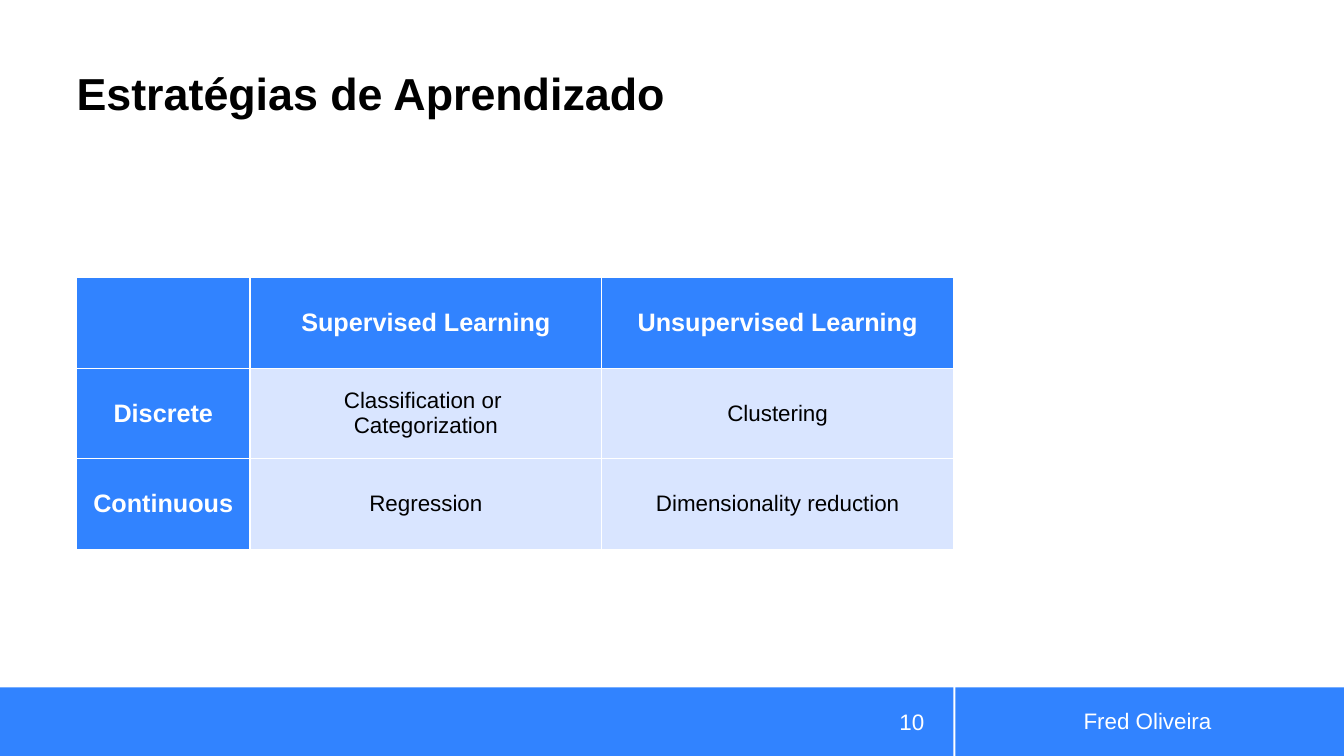
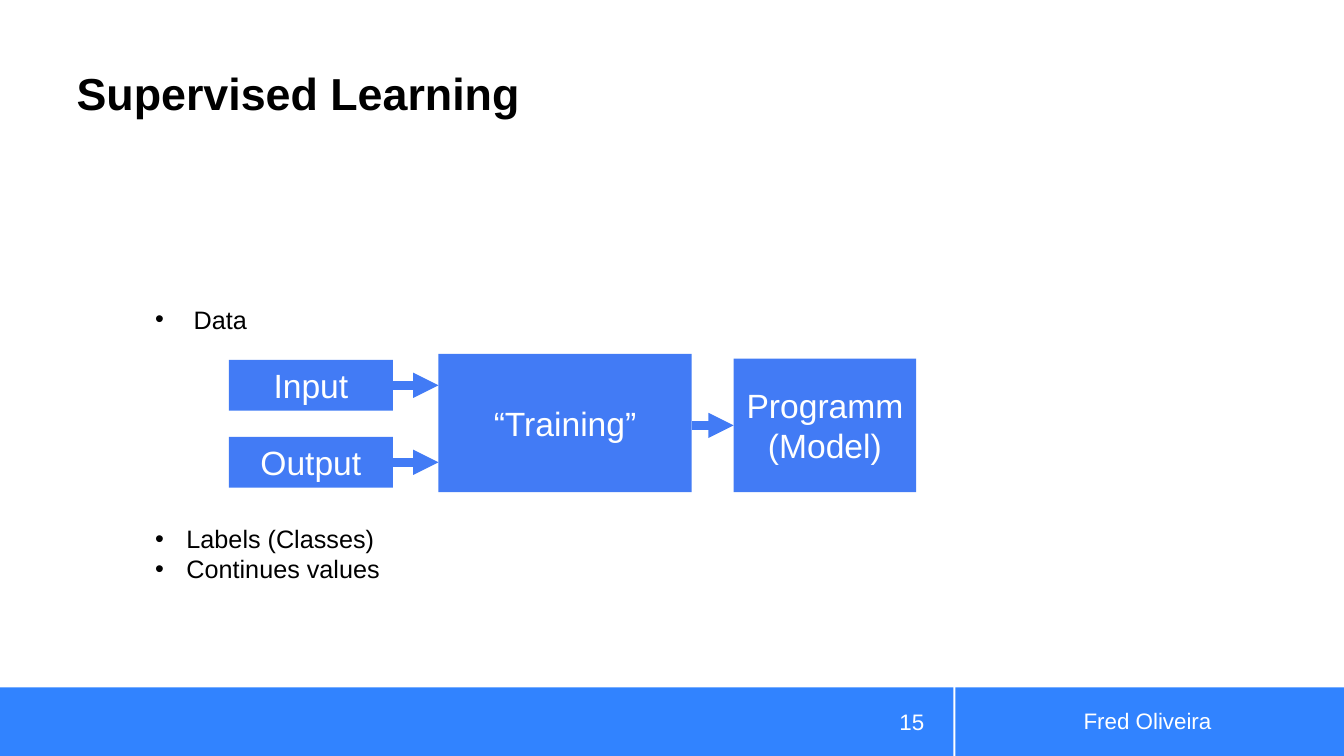
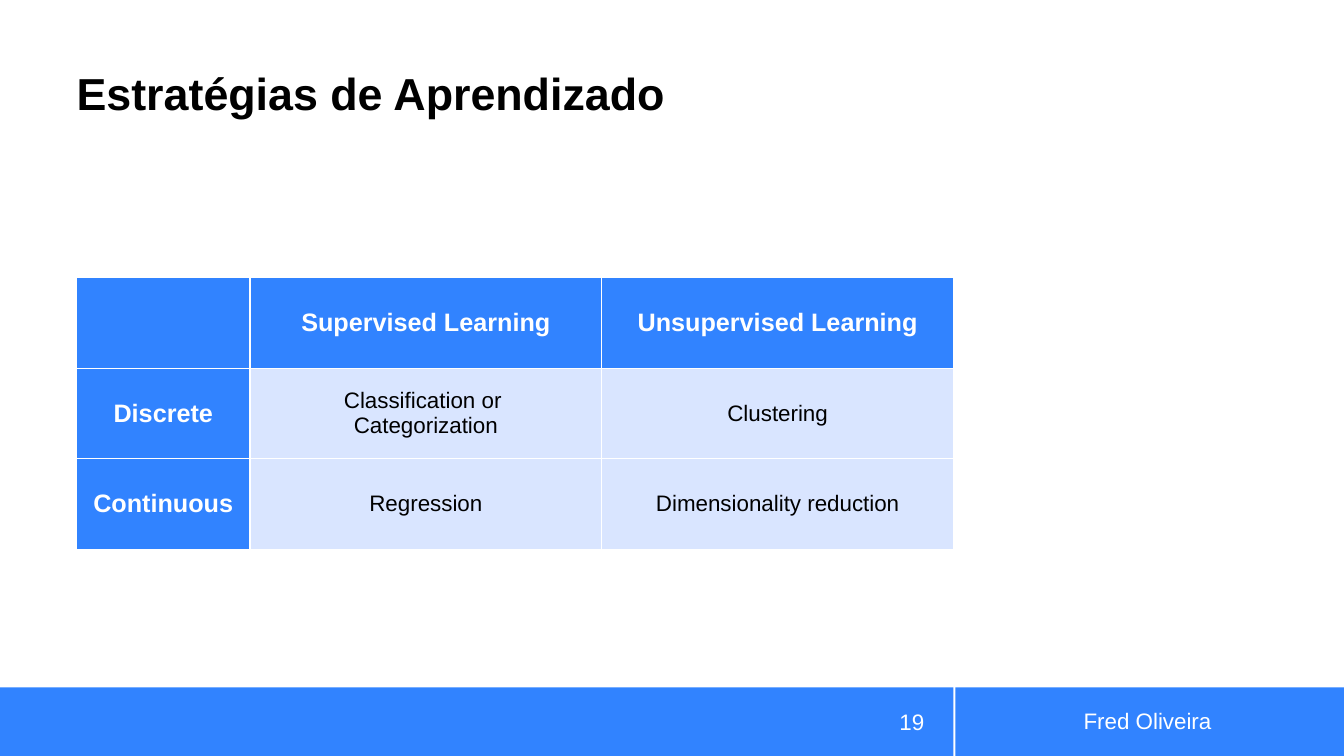
from dataclasses import dataclass

from lxml import etree
from pptx import Presentation
from pptx.dml.color import RGBColor
from pptx.enum import shapes, text
from pptx.oxml import ns
from pptx.util import Cm, Pt


@dataclass(frozen=True)
class Theme:
    font: str = "Arial"
    band: str = "3183FF"
    block: str = "427BF5"
    pale: str = "D9E5FF"
    ink: str = "000000"
    paper: str = "FFFFFF"
    title: int = 32
    label: int = 24
    body: int = 18
    small: int = 16
    arrow: int = 6
    border: int = 1


THEME = Theme()
LEFT, CENTER, RIGHT = text.PP_ALIGN.LEFT, text.PP_ALIGN.CENTER, text.PP_ALIGN.RIGHT
MIDDLE, BOTTOM = text.MSO_ANCHOR.MIDDLE, text.MSO_ANCHOR.BOTTOM

PAGE_WIDTH, PAGE_HEIGHT = 33.87, 19.05
TITLE_BOX = (1.93, 0.33, 22.1, 2.69)
FOOTER_BOX = (0, 17.32, PAGE_WIDTH, 1.73)
TABLE_BOX = (1.93, 6.99, 22.1, 6.86)
TRAINING_BOX = (3.66, 7.54, 19.43, 7.32)

STRATEGIES = [
    ["", "Supervised Learning", "Unsupervised Learning"],
    ["Discrete", "Classification or \vCategorization", "Clustering"],
    ["Continuous", "Regression", "Dimensionality reduction"],
]


def color(value):
    return RGBColor.from_string(value)


def add_xml(parent, tag, **attributes):
    return etree.SubElement(parent, ns.qn(tag), attributes)


def add_bullet(para, indent):
    props = para._p.get_or_add_pPr()
    props.set("marL", str(Cm(indent)))
    props.set("indent", str(-Cm(indent)))
    add_xml(add_xml(props, "a:buClr"), "a:srgbClr", val=THEME.ink)
    add_xml(props, "a:buFont", typeface=THEME.font)
    add_xml(props, "a:buChar", char="•")


def write(frame, content, size=THEME.body, ink=THEME.ink, bold=False,
          align=LEFT, anchor=None, inset=None, spacing=None, bullet=None):
    frame.text = content
    frame.word_wrap = True
    if anchor is not None:
        frame.vertical_anchor = anchor
    if inset is not None:
        frame.margin_left = frame.margin_right = Cm(inset)
        frame.margin_top = frame.margin_bottom = Cm(inset)
    for para in frame.paragraphs:
        para.alignment = align
        if spacing is not None:
            para.line_spacing = spacing
        if bullet is not None:
            add_bullet(para, bullet)
        for span in para.runs:
            span.font.name = THEME.font
            span.font.size = Pt(size)
            span.font.bold = bold
            span.font.color.rgb = color(ink)


def add_text(page, box, content, **style):
    area = page.shapes.add_textbox(*map(Cm, box))
    write(area.text_frame, content, **style)


def add_block(page, box, fill, label=""):
    block = page.shapes.add_shape(shapes.MSO_SHAPE.RECTANGLE, *map(Cm, box))
    block.shadow.inherit = False
    block.fill.solid()
    block.fill.fore_color.rgb = color(fill)
    block.line.fill.background()
    if label:
        write(block.text_frame, label, size=THEME.label, ink=THEME.paper,
              align=CENTER, anchor=MIDDLE)


def add_arrow(page, start, end, height):
    arrow = page.shapes.add_connector(
        shapes.MSO_CONNECTOR.STRAIGHT, Cm(start), Cm(height), Cm(end), Cm(height))
    arrow.line.color.rgb = color(THEME.block)
    arrow.line.width = Pt(THEME.arrow)
    add_xml(arrow.line._get_or_add_ln(), "a:tailEnd", type="triangle")
    add_xml(arrow._element.spPr, "a:effectLst")


def add_title(page, box, content):
    title = page.shapes.title
    title.left, title.top, title.width, title.height = map(Cm, box)
    write(title.text_frame, content, size=THEME.title, bold=True,
          anchor=BOTTOM, inset=0, spacing=0.9)
    title.text_frame.auto_size = text.MSO_AUTO_SIZE.NONE


def add_footer(page, box, number):
    left, top, width, height = box
    split, gap = 24.03, 0.05
    author_left = split + gap
    add_block(page, (left, top, split, height), THEME.band)
    add_block(page, (left + author_left, top, width - author_left, height), THEME.band)
    style = dict(size=THEME.small, ink=THEME.paper, anchor=MIDDLE)
    add_text(page, (left + 24.41, top + 0.33, 9.02, 1.02), "Fred Oliveira",
             align=CENTER, **style)
    add_text(page, (left + 21.36, top + 0.36, 2.18, 1.02), str(number),
             align=RIGHT, **style)


def add_page(deck, title, number):
    page = deck.slides.add_slide(deck.slide_layouts[5])
    add_footer(page, FOOTER_BOX, number)
    add_title(page, TITLE_BOX, title)
    return page


def format_cell(cell, content, is_header):
    props = cell._tc.get_or_add_tcPr()
    for side in ("a:lnL", "a:lnR", "a:lnT", "a:lnB"):
        edge = add_xml(props, side, w=str(Pt(THEME.border)))
        add_xml(add_xml(edge, "a:solidFill"), "a:srgbClr", val=THEME.paper)
    cell.fill.solid()
    cell.fill.fore_color.rgb = color(THEME.band if is_header else THEME.pale)
    cell.vertical_anchor = MIDDLE
    write(cell.text_frame, content, bold=is_header, align=CENTER,
          size=THEME.body if is_header else THEME.small,
          ink=THEME.paper if is_header else THEME.ink)


def add_strategy_table(page, box, rows):
    left, top, width, height = box
    table = page.shapes.add_table(len(rows), len(rows[0]), *map(Cm, box)).table
    table.horz_banding = False
    head_width = 4.37
    body_width = (width - head_width) / (len(rows[0]) - 1)
    for index, column in enumerate(table.columns):
        column.width = Cm(body_width if index else head_width)
    for row_index, row in enumerate(rows):
        table.rows[row_index].height = Cm(height / len(rows))
        for column_index, content in enumerate(row):
            format_cell(table.cell(row_index, column_index), content,
                        row_index == 0 or column_index == 0)


def add_training_flow(page, box):
    left, top, width, height = box
    add_text(page, (left, top, 2.82, 1.02), "Data", bullet=0.97)
    add_text(page, (left, top + 5.52, 6.22, 1.8),
             "Labels (Classes)\nContinues values", bullet=0.79)

    source_left, source_width, source_height = left + 2.11, 4.13, 1.28
    training_left, training_width = left + 7.39, 6.38
    model_width, model_height = 4.6, 3.36
    model_left, model_top = left + width - model_width, top + 1.5
    for label, offset in (("Input", 1.53), ("Output", 3.47)):
        add_block(page, (source_left, top + offset, source_width, source_height),
                  THEME.block, label)
        add_arrow(page, source_left + source_width, training_left,
                  top + offset + source_height / 2)
    add_block(page, (training_left, top + 1.38, training_width, 3.48),
              THEME.block, "“Training”")
    add_block(page, (model_left, model_top, model_width, model_height),
              THEME.block, "Programm (Model)")
    add_arrow(page, training_left + training_width, model_left,
              model_top + model_height / 2)


def build_strategy_page(deck, number):
    page = add_page(deck, "Estratégias de Aprendizado", number)
    add_strategy_table(page, TABLE_BOX, STRATEGIES)


def build_training_page(deck, number):
    page = add_page(deck, "Supervised Learning", number)
    add_training_flow(page, TRAINING_BOX)


def main():
    deck = Presentation()
    deck.slide_width, deck.slide_height = Cm(PAGE_WIDTH), Cm(PAGE_HEIGHT)
    build_strategy_page(deck, 10)
    build_training_page(deck, 15)
    build_strategy_page(deck, 19)
    deck.save("out.pptx")


if __name__ == "__main__":
    main()
